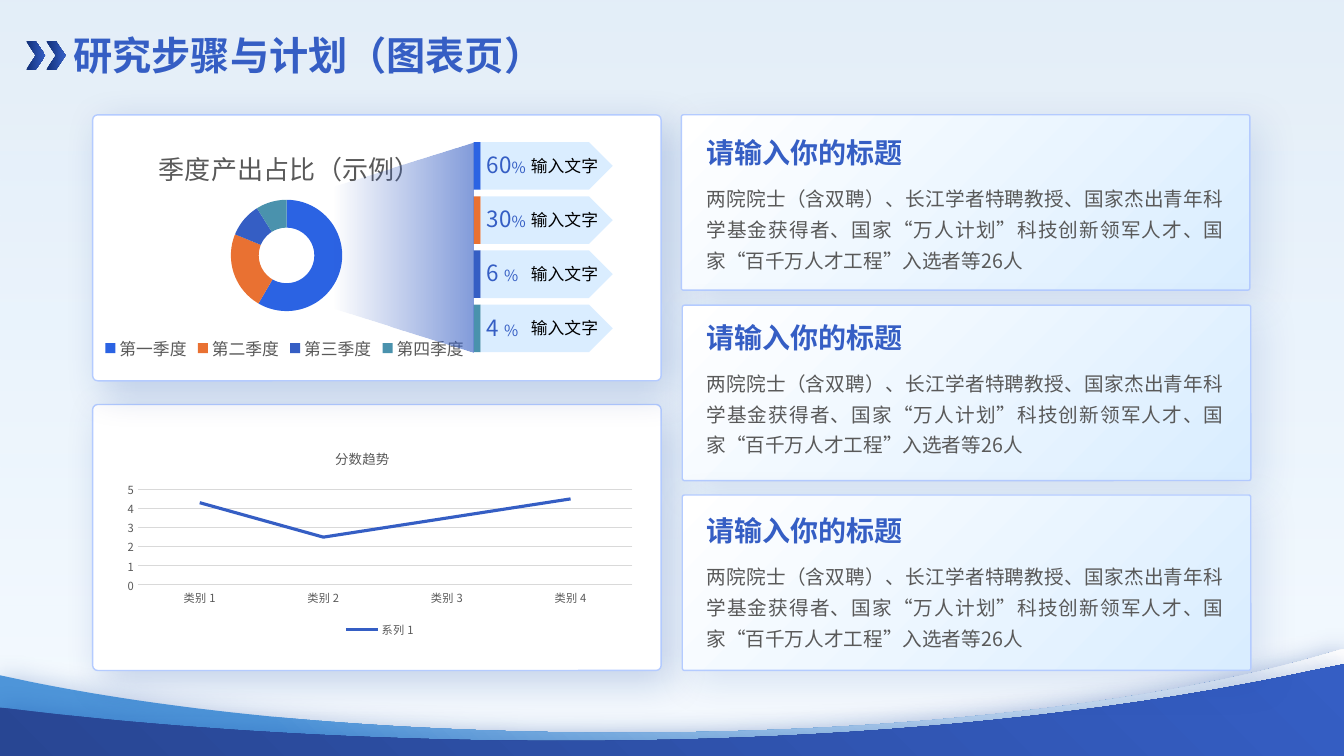
from dataclasses import dataclass
from typing import NamedTuple, Optional

from lxml.etree import SubElement
from pptx import Presentation
from pptx.chart.data import CategoryChartData
from pptx.dml.color import RGBColor
from pptx.enum.chart import XL_CHART_TYPE, XL_LEGEND_POSITION, XL_TICK_MARK
from pptx.enum.shapes import MSO_SHAPE
from pptx.enum.text import PP_ALIGN
from pptx.oxml.ns import qn
from pptx.util import Pt

FONT = "Noto Sans CJK SC"
BLUE = RGBColor(0x35, 0x5E, 0xC4)
NAVY = RGBColor(0x10, 0x2F, 0x77)
DEEP_BLUE = RGBColor(0x28, 0x46, 0x93)
SKY = RGBColor(0x4E, 0x95, 0xD9)
BRIGHT_BLUE = RGBColor(0x2B, 0x63, 0xE3)
ORANGE = RGBColor(0xE9, 0x71, 0x32)
TEAL = RGBColor(0x4A, 0x92, 0xAD)
MIST = RGBColor(0xDC, 0xEA, 0xF7)
PALE_BLUE = RGBColor(0xD3, 0xEA, 0xFF)
CARD_BLUE = RGBColor(0xD9, 0xED, 0xFF)
CARD_EDGE = RGBColor(0xB4, 0xCB, 0xFF)
SHADOW = RGBColor(0x00, 0x2F, 0x93)
GREY = RGBColor(0x59, 0x59, 0x59)
GRID = RGBColor(0xD9, 0xD9, 0xD9)
BLACK = RGBColor(0, 0, 0)
WHITE = RGBColor(0xFF, 0xFF, 0xFF)

BODY = ("两院院士（含双聘）、长江学者特聘教授、国家杰出青年科学基金获得者、"
        "国家“万人计划”科技创新领军人才、国家“百千万人才工程”入选者等26人")


class Box(NamedTuple):
    left: float
    top: float
    width: float
    height: float

    def emu(self):
        return [Pt(length) for length in self]


class Stop(NamedTuple):
    color: RGBColor
    position: float
    alpha: int = 100


@dataclass
class Paint:
    """One stop paints solid, two stops paint a gradient at a clockwise angle."""
    stops: list[Stop]
    angle: float = 0


@dataclass
class Shadow:
    alpha: int
    blur: float
    distance: float = 0
    direction: float = 0


@dataclass
class Wave:
    points: list[tuple[float, float]]
    paint: Paint


@dataclass
class Share:
    number: str
    color: RGBColor


@dataclass
class Topic:
    card: Box
    heading_top: float


def apply_paint(shape, paint: Paint, shadow: Optional[Shadow] = None):
    shape.shadow.inherit = False
    if len(paint.stops) == 1:
        shape.fill.solid()
        shape.fill.fore_color.rgb = paint.stops[0].color
    else:
        shape.fill.gradient()
        shape.fill.gradient_angle = (360 - paint.angle) % 360
        for target, stop in zip(shape.fill.gradient_stops, paint.stops):
            target.color.rgb, target.position = stop.color, stop.position
    properties = shape._element.spPr
    for color, stop in zip(list(properties.iter(qn("a:srgbClr"))), paint.stops):
        if stop.alpha < 100:
            SubElement(color, qn("a:alpha"), val=str(stop.alpha * 1000))
    shape.line.fill.background()
    if shadow:
        outer = SubElement(properties.find(qn("a:effectLst")), qn("a:outerShdw"),
                           blurRad=str(Pt(shadow.blur)), dist=str(Pt(shadow.distance)),
                           dir=str(int(shadow.direction * 60000)),
                           algn="ctr", rotWithShape="0")
        color = SubElement(outer, qn("a:srgbClr"), val=str(SHADOW))
        SubElement(color, qn("a:alpha"), val=str(shadow.alpha * 1000))


def add_painted(slide, kind: MSO_SHAPE, box: Box, paint: Paint,
                shadow: Optional[Shadow] = None, adjust: Optional[float] = None):
    shape = slide.shapes.add_shape(kind, *box.emu())
    if adjust is not None:
        shape.adjustments[0] = adjust
    apply_paint(shape, paint, shadow)
    return shape


def add_card(slide, box: Box, paint: Paint, shadow_alpha: int, corner: float) -> None:
    card = add_painted(slide, MSO_SHAPE.ROUNDED_RECTANGLE, box, paint,
                       Shadow(shadow_alpha, 28, 10, 45), corner)
    card.line.color.rgb = CARD_EDGE
    card.line.width = Pt(1)


def curve(a, b, c, d, steps: int = 40) -> list[tuple[float, float]]:
    """Points along a cubic Bezier curve from a to d."""
    points = []
    for step in range(steps + 1):
        t = step / steps
        weights = ((1 - t) ** 3, 3 * t * (1 - t) ** 2, 3 * t * t * (1 - t), t ** 3)
        points.append(tuple(sum(w * p[axis] for w, p in zip(weights, (a, b, c, d)))
                            for axis in (0, 1)))
    return points


def add_wave(slide, wave: Wave) -> None:
    start, *rest = [(Pt(x), Pt(y)) for x, y in wave.points + [(0, 543), (960, 543)]]
    builder = slide.shapes.build_freeform(*start)
    builder.add_line_segments(rest, close=True)
    apply_paint(builder.convert_to_shape(), wave.paint, Shadow(26, 18))


def style_font(font, color: RGBColor, size: Optional[float] = None, bold: bool = False) -> None:
    font.name, font.bold, font.color.rgb = FONT, bold, color
    if size:
        font.size = Pt(size)
    SubElement(font._rPr, qn("a:ea"), typeface=FONT)


def add_text(slide, box: Box, runs: list[tuple[str, float]], color: RGBColor, bold: bool = False):
    frame = slide.shapes.add_textbox(*box.emu()).text_frame
    frame.word_wrap = True
    paragraph = frame.paragraphs[0]
    style_font(paragraph.font, color, runs[0][1] if len(runs) == 1 else None, bold)
    for words, size in runs:
        run = paragraph.add_run()
        run.text = words
        if len(runs) > 1:
            run.font.size = Pt(size)
    return paragraph


def place(element, index: int, **fractions: float) -> None:
    """Fix a chart part at fractions of the chart area."""
    for old in element.findall(qn("c:layout")):
        element.remove(old)
    layout = element.makeelement(qn("c:layout"), {})
    element.insert(index, layout)
    manual = SubElement(layout, qn("c:manualLayout"))
    if "w" in fractions:
        SubElement(manual, qn("c:layoutTarget"), val="inner")
    for mode in ("xMode", "yMode"):
        SubElement(manual, qn(f"c:{mode}"), val="edge")
    for key, value in fractions.items():
        SubElement(manual, qn(f"c:{key}"), val=str(value))


def add_titled_chart(slide, kind: XL_CHART_TYPE, box: Box, categories: list[str], series: str,
                     values: list[float], title: str, title_size: float, font_size: float,
                     title_at: tuple[float, float], plot_at: Box):
    data = CategoryChartData()
    data.categories = categories
    data.add_series(series, values)
    chart = slide.shapes.add_chart(kind, *box.emu(), data).chart
    style_font(chart.font, GREY, font_size)
    chart.has_title = True
    heading = chart.chart_title.text_frame.paragraphs[0]
    heading.text = title
    style_font(heading.font, GREY, title_size)
    place(chart.chart_title._element, 1, x=title_at[0], y=title_at[1])
    place(chart.plots[0]._element.getparent(), 0,
          x=plot_at.left, y=plot_at.top, w=plot_at.width, h=plot_at.height)
    chart.has_legend = True
    chart.legend.position = XL_LEGEND_POSITION.BOTTOM
    chart.legend.include_in_layout = False
    style_font(chart.legend.font, GREY, font_size)
    return chart


def add_quarter_chart(slide, shares: list[Share]) -> None:
    chart = add_titled_chart(
        slide, XL_CHART_TYPE.DOUGHNUT, Box(66.2, 87.1, 274.3, 173.5),
        ["第一季度", "第二季度", "第三季度", "第四季度"], "Series 1", [59, 23, 10, 9],
        "季度产出占比（示例）", 18.6, 12, (0.16, 0.08), Box(0.36, 0.32, 0.29, 0.46))
    for index, share in enumerate(shares):
        fill = chart.series[0].points[index].format.fill
        fill.solid()
        fill.fore_color.rgb = share.color
    chart.plots[0]._element.find(qn("c:holeSize")).set("val", "55")


def add_trend_chart(slide) -> None:
    chart = add_titled_chart(
        slide, XL_CHART_TYPE.LINE_STACKED, Box(83.5, 313.2, 375.8, 145.4),
        [f"类别 {number}" for number in range(1, 5)], "系列 1", [4.3, 2.5, 3.5, 4.5],
        "分数趋势", 9.6, 8, (0.41, 0.03), Box(0.04, 0.25, 0.94, 0.47))
    trend = chart.series[0]
    trend.smooth = False
    trend.format.line.color.rgb = BLUE
    trend.format.line.width = Pt(2.25)
    for axis in (chart.category_axis, chart.value_axis):
        axis.major_tick_mark = axis.minor_tick_mark = XL_TICK_MARK.NONE
        style_font(axis.tick_labels.font, GREY, 8)
    scores = chart.value_axis
    scores.minimum_scale, scores.maximum_scale, scores.major_unit = 0, 5, 1
    scores.format.line.fill.background()
    for line in (chart.category_axis.format.line, scores.major_gridlines.format.line):
        line.color.rgb = GRID
        line.width = Pt(0.75)


def add_share(slide, row: int, share: Share) -> None:
    top = 101.5 + 38.7 * row
    add_painted(slide, MSO_SHAPE.RECTANGLE, Box(338.4, top, 5, 34), Paint([Stop(share.color, 0)]))
    add_painted(slide, MSO_SHAPE.PENTAGON, Box(343.4, top, 94.3, 34),
                Paint([Stop(PALE_BLUE, 0, 82)]))
    add_text(slide, Box(340.6, top + 3, 54, 26.6), [(share.number, 16), ("%", 11)], BLUE)
    add_text(slide, Box(372.2, top + 6, 69.1, 21.8), [("输入文字", 12)], BLACK)


def add_topic(slide, topic: Topic) -> None:
    add_card(slide, topic.card, Paint([Stop(WHITE, 0), Stop(CARD_BLUE, 1)], 45), 11, 0.012)
    body = add_text(slide, Box(497.5, topic.heading_top + 31.7, 383.8, 71.3), [(BODY, 14)], GREY)
    body.alignment = PP_ALIGN.JUSTIFY
    body.line_spacing = 1.3
    add_text(slide, Box(497.5, topic.heading_top, 221.8, 31.7), [("请输入你的标题", 20)], BLUE, True)


def main() -> None:
    deck = Presentation()
    deck.slide_width, deck.slide_height = Pt(960), Pt(540)
    slide = deck.slides.add_slide(deck.slide_layouts[6])

    add_painted(slide, MSO_SHAPE.RECTANGLE, Box(0, 0, 960, 540),
                Paint([Stop(MIST, 0, 78), Stop(PALE_BLUE, 1, 20)], 90))
    for left in (18.7, 33.1):
        add_painted(slide, MSO_SHAPE.CHEVRON, Box(left, 29.5, 13.7, 20.2),
                    Paint([Stop(NAVY, 0), Stop(BLUE, 0.99)]))
    back = [(960, 463.7)]
    back += curve((956.2, 464.4), (838.8, 500.4), (653, 523.4), (445, 523.4))
    back += curve((445, 523.4), (282.2, 523.4), (133.9, 509.8), (20.2, 486.7)) + [(0, 482.4)]
    front = [(960, 474.5)]
    front += curve((941.8, 478.1), (606.2, 550.8), (222.5, 531.4), (24.5, 508.3)) + [(0, 505.4)]
    for wave in (Wave(back, Paint([Stop(SKY, 0.21), Stop(WHITE, 1)], 315)),
                 Wave(front, Paint([Stop(DEEP_BLUE, 0), Stop(BLUE, 1)], 315))):
        add_wave(slide, wave)
    add_text(slide, Box(45.4, 18.7, 434.9, 41), [("研究步骤与计划（图表页）", 28)], BLUE, True)

    for top in (288.9, 82):
        add_card(slide, Box(66.2, top, 406.1, 190), Paint([Stop(WHITE, 0)]), 20, 0.019)
    shares = [Share("60", BRIGHT_BLUE), Share("30", ORANGE), Share("6 ", BLUE), Share("4 ", TEAL)]
    add_quarter_chart(slide, shares)
    for row, share in enumerate(shares):
        add_share(slide, row, share)
    beam = add_painted(slide, MSO_SHAPE.TRAPEZOID, Box(213.1, 126.7, 149.8, 100.1),
                       Paint([Stop(BLUE, 0, 0), Stop(BLUE, 1, 62)], 90), adjust=0.316)
    beam.rotation = 270
    add_trend_chart(slide)

    for topic in (Topic(Box(486.7, 82, 406.1, 125.3), 93.6),
                  Topic(Box(487.4, 218, 406.1, 125.3), 225.4),
                  Topic(Box(487.4, 353.6, 406.1, 125.3), 363.6)):
        add_topic(slide, topic)
    deck.save("out.pptx")


if __name__ == "__main__":
    main()
